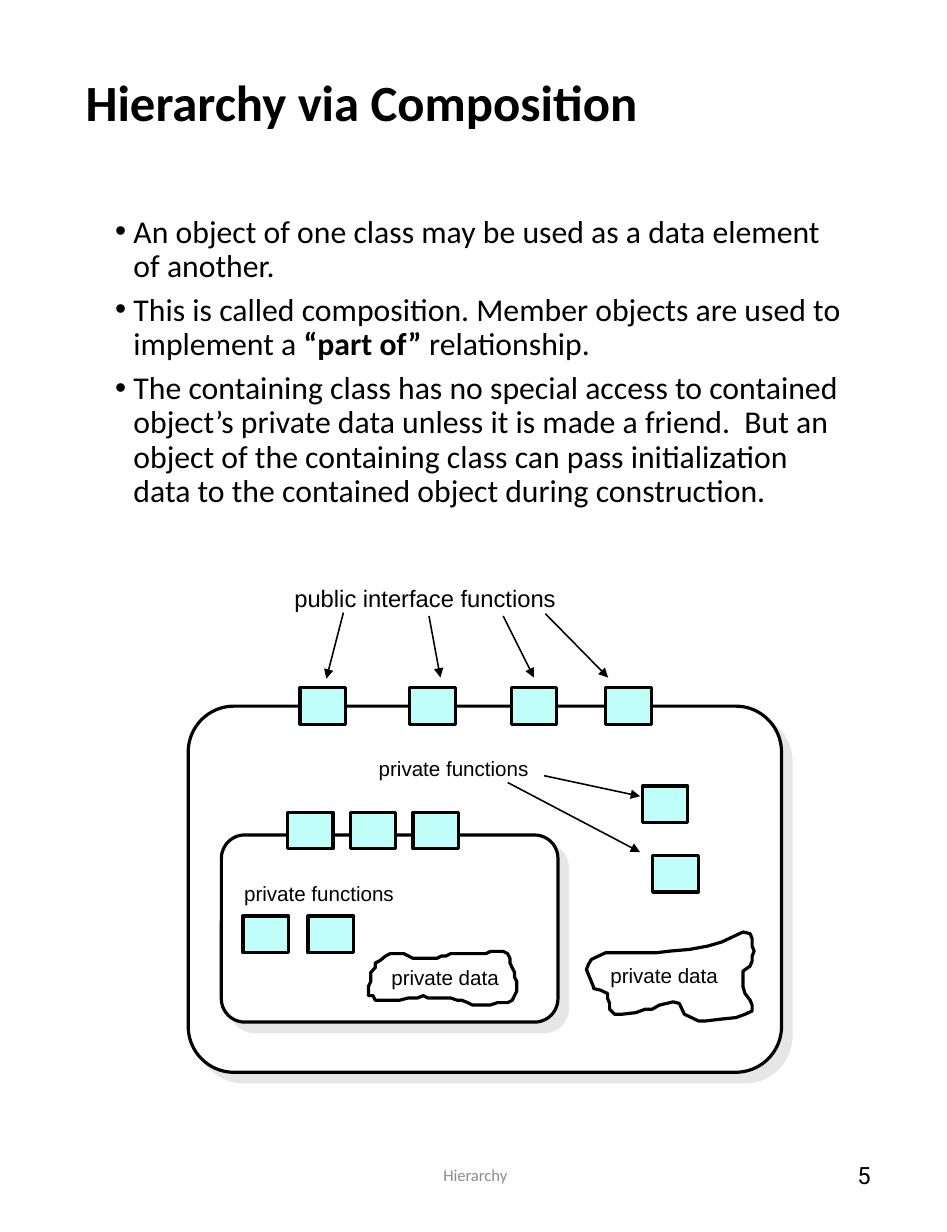
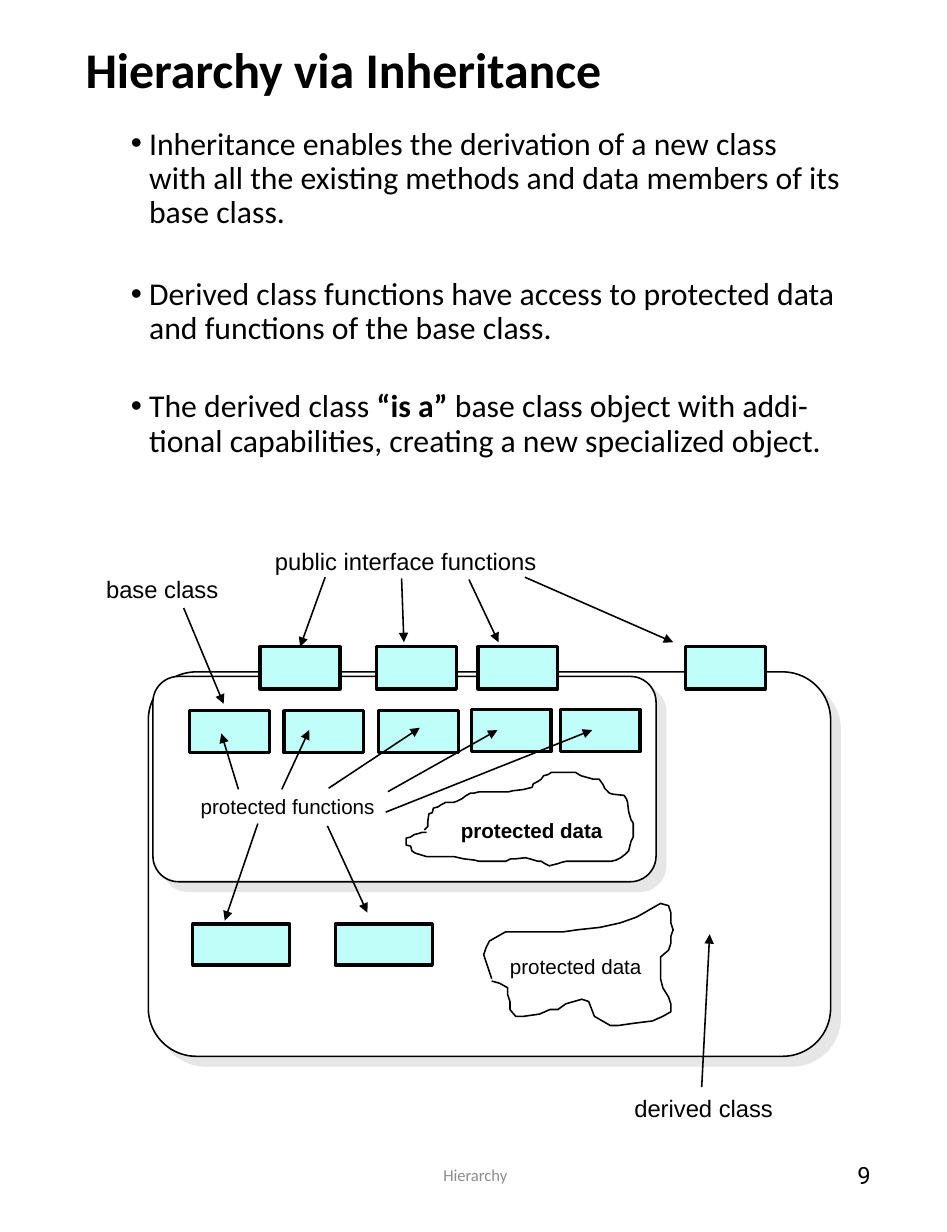
import math
from dataclasses import dataclass, field

import lxml.etree
import pptx
import pptx.dml.color
import pptx.enum.dml
import pptx.enum.shapes
import pptx.enum.text
import pptx.oxml.ns
import pptx.util

Pt = pptx.util.Pt
Inches = pptx.util.Inches
qn = pptx.oxml.ns.qn
SHAPE = pptx.enum.shapes.MSO_SHAPE
ALIGN = pptx.enum.text.PP_ALIGN
ANCHOR = pptx.enum.text.MSO_ANCHOR

WIDTH, HEIGHT = Inches(8.3), Inches(10.8)
COLUMNS = 83
CELL = WIDTH / COLUMNS
COLORS = {"ink": "000000", "paper": "FFFFFF", "function": "C0FEF9",
          "shadow": "E7E6E6", "footer": "8C8C8C"}
FORMATS = {
    "title": {"name": "Calibri", "size": Pt(32), "bold": True},
    "body": {"name": "Calibri", "size": Pt(20)},
    "number": {"name": "Roboto", "size": Pt(15)},
    "footer": {"name": "Calibri", "size": Pt(10.5)},
    "heading": {"name": "Arial", "size": Pt(15)},
    "label": {"name": "Arial", "size": Pt(13)},
    "strong": {"name": "Arial", "size": Pt(13), "bold": True},
}
MARGINS = {"margin_left": Inches(0.11), "margin_right": Inches(0.11),
           "margin_top": Inches(0.05), "margin_bottom": Inches(0.05)}

Box = tuple[float, float, float, float]
Points = list[tuple[int, int]]

JAGGED: Points = [
    (431, 858), (429, 852), (426, 843), (424, 837), (426, 831), (429, 825), (436, 821),
    (443, 817), (461, 817), (493, 817), (507, 815), (526, 813), (544, 809), (558, 804),
    (565, 800), (572, 796), (579, 792), (586, 794), (588, 800), (588, 809), (590, 815),
    (588, 821), (588, 827), (586, 833), (579, 839), (579, 858), (581, 866), (586, 874),
    (588, 880), (588, 887), (581, 891), (572, 895), (556, 897), (542, 899), (535, 899),
    (528, 895), (521, 891), (516, 878), (510, 876), (503, 878), (496, 880), (489, 885),
    (482, 885), (473, 889), (459, 891), (452, 891), (447, 885), (447, 878), (445, 872),
    (445, 866), (438, 862), (431, 860)]
WAVY: Points = [
    (325, 856), (325, 852), (329, 848), (329, 844), (333, 842), (338, 838), (342, 836),
    (354, 836), (358, 838), (362, 840), (383, 840), (387, 838), (391, 838), (395, 836),
    (426, 836), (430, 834), (441, 834), (445, 836), (447, 840), (447, 844), (449, 848),
    (451, 852), (451, 856), (453, 860), (453, 868), (451, 872), (449, 876), (445, 878),
    (436, 878), (430, 880), (414, 880), (410, 878), (405, 876), (401, 876), (395, 874),
    (375, 874), (371, 872), (366, 874), (358, 874), (350, 876), (329, 876), (327, 872),
    (323, 872), (323, 864), (325, 860)]
CLOUD: Points = [
    (372, 727), (375, 724), (375, 720), (376, 713), (379, 712), (380, 708), (384, 707),
    (387, 705), (391, 703), (398, 703), (401, 702), (405, 700), (409, 697), (413, 695),
    (416, 695), (420, 694), (446, 694), (450, 693), (459, 692), (467, 690), (468, 687),
    (472, 685), (475, 683), (477, 680), (481, 679), (484, 677), (505, 677), (510, 680),
    (521, 683), (526, 683), (529, 687), (531, 691), (535, 695), (538, 696), (548, 697),
    (550, 700), (551, 703), (552, 711), (554, 718), (556, 721), (556, 733), (554, 737),
    (553, 741), (552, 745), (549, 748), (545, 751), (541, 753), (537, 754), (497, 754),
    (493, 755), (490, 756), (486, 757), (482, 758), (478, 756), (475, 754), (472, 754),
    (465, 752), (461, 751), (452, 752), (448, 752), (444, 754), (420, 754), (416, 753),
    (407, 752), (398, 750), (374, 750), (364, 747), (361, 745), (360, 741), (356, 740),
    (356, 734), (360, 733), (363, 731), (367, 730), (370, 729), (374, 729)]


@dataclass
class FunctionRow:
    lefts: list[float]
    top: float
    width: float
    height: float


@dataclass
class Label:
    text: str
    box: Box
    style: str = "label"


@dataclass
class Blob:
    points: Points
    box: Box
    closed: bool = False


@dataclass
class Bullet:
    text: str
    gap: float = 6.2


@dataclass
class Page:
    title: str
    title_size: float
    title_box: Box
    body_box: Box
    number: str
    line: float
    bullets: list[Bullet]
    panels: list[Box]
    functions: list[FunctionRow]
    blobs: list[Blob]
    labels: list[Label]
    arrows: list[Box] = field(default_factory=list)


def cells(n: float) -> int:
    return round(n * CELL)


def color(name: str) -> pptx.dml.color.RGBColor:
    return pptx.dml.color.RGBColor.from_string(COLORS[name])


def apply(target, values: dict) -> None:
    for name, value in values.items():
        setattr(target, name, value)


def place(sp, box: Box) -> None:
    apply(sp, dict(zip(("left", "top", "width", "height"), map(cells, box))))


def write(p, text: str, style: str, ink: str = "ink") -> None:
    for i, part in enumerate(text.split("|")):
        r = p.add_run()
        r.text = part
        apply(r.font, FORMATS[style])
        r.font.color.rgb = color(ink)
        if i % 2:
            r.font.bold = True


def paint(sp, fill: str, width: float) -> None:
    sp.shadow.inherit = False
    sp.fill.solid()
    sp.fill.fore_color.rgb = color(fill)
    sp.line.color.rgb = color("ink")
    sp.line.width = Pt(width)


def add_text(s, text: str, box: Box, style: str, ink: str = "ink",
             align=ALIGN.LEFT, anchor=ANCHOR.TOP) -> None:
    tf = s.shapes.add_textbox(*map(cells, box)).text_frame
    apply(tf, {**MARGINS, "word_wrap": True, "vertical_anchor": anchor})
    tf.paragraphs[0].alignment = align
    write(tf.paragraphs[0], text, style, ink)


def add_panel(s, box: Box, line: float) -> None:
    sp = s.shapes.add_shape(SHAPE.ROUNDED_RECTANGLE, *map(cells, box))
    sp.adjustments[0] = 0.125
    paint(sp, "paper", line)
    effects = sp._element.spPr.find(qn("a:effectLst"))
    shadow = lxml.etree.SubElement(effects, qn("a:outerShdw"), dist=str(Pt(8.5)),
                                   dir="2700000", algn="ctr", rotWithShape="0")
    lxml.etree.SubElement(shadow, qn("a:srgbClr"), val=COLORS["shadow"])


def add_functions(s, row: FunctionRow) -> list:
    boxes = []
    for left in row.lefts:
        sp = s.shapes.add_shape(SHAPE.RECTANGLE,
                                *map(cells, (left, row.top, row.width, row.height)))
        paint(sp, "function", 2)
        boxes.append(sp)
    return boxes


def add_blob(s, blob: Blob, line: float) -> None:
    builder = s.shapes.build_freeform(*blob.points[0], scale=CELL / 10)
    builder.add_line_segments(blob.points[1:], close=blob.closed)
    sp = builder.convert_to_shape()
    place(sp, blob.box)
    paint(sp, "paper", line)


def add_arrow(s, ends: Box, boxes: list) -> None:
    x1, y1, x2, y2 = map(cells, ends)
    c = s.shapes.add_connector(pptx.enum.shapes.MSO_CONNECTOR.STRAIGHT, x1, y1, x2, y2)
    c.line.color.rgb = color("ink")
    c.line.width = Pt(1)
    lxml.etree.SubElement(c.line._get_or_add_ln(), qn("a:tailEnd"), type="triangle")
    lxml.etree.SubElement(c._element.spPr, qn("a:effectLst"))
    for sp in boxes:
        if math.hypot(sp.left + sp.width / 2 - x2, sp.top - y2) < cells(0.5):
            c.end_connect(sp, 0)


def add_page(prs, page: Page) -> None:
    s = prs.slides.add_slide(prs.slide_layouts[1])
    title, body = s.placeholders[0], s.placeholders[1]
    place(title, page.title_box)
    apply(title.text_frame, {"vertical_anchor": ANCHOR.MIDDLE, "word_wrap": True,
                             "auto_size": pptx.enum.text.MSO_AUTO_SIZE.NONE})
    p = title.text_frame.paragraphs[0]
    apply(p, {"alignment": ALIGN.LEFT, "line_spacing": 0.9})
    write(p, page.title, "title")
    p.runs[0].font.size = Pt(page.title_size)

    place(body, page.body_box)
    tf = body.text_frame
    apply(tf, {**MARGINS, "word_wrap": True, "vertical_anchor": ANCHOR.TOP,
               "auto_size": pptx.enum.text.MSO_AUTO_SIZE.NONE})
    for i, bullet in enumerate(page.bullets):
        p = tf.add_paragraph() if i else tf.paragraphs[0]
        pPr = p._p.get_or_add_pPr()
        pPr.set("marL", str(Inches(0.16)))
        pPr.set("indent", str(-Inches(0.16)))
        apply(p, {"line_spacing": 0.9, "space_before": Pt(bullet.gap if i else 0),
                  "space_after": Pt(0)})
        write(p, bullet.text, "body")

    for panel in page.panels:
        add_panel(s, panel, page.line)
    boxes = [sp for row in page.functions for sp in add_functions(s, row)]
    for blob in page.blobs:
        add_blob(s, blob, page.line)
    for label in page.labels:
        add_text(s, label.text, label.box, label.style)
    for ends in page.arrows:
        add_arrow(s, ends, boxes)
    add_text(s, " Hierarchy", (27.5, 100.1, 28, 5.8), "footer", "footer",
             ALIGN.CENTER, ANCHOR.MIDDLE)
    add_text(s, page.number, (58.7, 100.1, 18.7, 5.8), "number", "ink",
             ALIGN.RIGHT, ANCHOR.MIDDLE)


COMPOSITION = Page(
    "Hierarchy via Composition", 32, (6.5, 3.6, 70.6, 11.2), (9, 18.4, 66.4, 42.3), "5", 2,
    [Bullet("An object of one class may be used as a data element of another."),
     Bullet("This is called composition. Member objects are used to implement a "
            "|“part of” |relationship."),
     Bullet("The containing class has no special access to contained object’s private data "
            "unless it is made a friend.  But an object of the containing class can pass "
            "initialization data to the contained object during construction.")],
    [(16.5, 61.9, 52, 32.1), (19.4, 73.2, 29.5, 16.4)],
    [FunctionRow([26.3, 35.9, 44.8, 53.1], 60.3, 4, 3.2),
     FunctionRow([25.2 + 5.5 * i for i in range(3)], 71.2, 4, 3.2),
     FunctionRow([21.3, 27], 80.3, 4, 3.2),
     FunctionRow([56.3], 68.9, 4, 3.2),
     FunctionRow([57.2], 75, 4, 3.2)],
    [Blob(JAGGED, (51.4, 81.7, 14.7, 7.8), True), Blob(WAVY, (32.3, 83.4, 13, 4.7), True)],
    [Label("public interface functions", (24.7, 50.7, 28, 3.6), "heading"),
     Label("private functions", (32.1, 65.8, 18, 3.2)),
     Label("private functions", (20.3, 76.7, 18, 3.2)),
     Label("private data", (52.4, 83.9, 14.8, 3.2)),
     Label("private data", (33.2, 84.1, 14.8, 3.2))],
    [(30.1, 53.7, 28.6, 59.5), (37.6, 54, 38.6, 59.4), (44.1, 54, 46.8, 59.4),
     (47.8, 53.8, 53.3, 59.4), (44.5, 68.6, 56.1, 74.7), (47.7, 68, 56.1, 69.8)])

INHERITANCE = Page(
    "Hierarchy via Inheritance", 31.5, (6.5, 3.6, 70.6, 5.4), (10.37, 10.7, 64.4, 33.7), "9", 1,
    [Bullet("Inheritance enables the derivation of a new class with all the existing methods "
            "and data members of its base class."),
     Bullet("Derived class functions have access to protected data and functions of the "
            "base class.", 30),
     Bullet("The derived class |“is a”| base class object with addi-tional capabilities, "
            "creating a new specialized object.", 27.8)],
    [(13, 58.9, 59.8, 33.7), (13.4, 59.3, 44.1, 18)],
    [FunctionRow([22.8, 33, 41.9, 60.1], 56.7, 7, 3.7),
     FunctionRow([16.6 + 8.3 * i for i in range(3)], 62.3, 7, 3.7),
     FunctionRow([41.3, 49.1], 62.2, 7, 3.7),
     FunctionRow([16.9, 29.4], 81, 8.5, 3.6)],
    [Blob(CLOUD, (35.6, 67.7, 19.9, 8.2)), Blob(JAGGED, (42.4, 79.2, 16.6, 10.7))],
    [Label("public interface functions", (23, 47.4, 28, 3.6), "heading"),
     Label("base class", (8.2, 49.9, 14, 3.6), "heading"),
     Label("derived class", (54.5, 95.4, 17, 3.6), "heading"),
     Label("protected functions", (16.5, 69.1, 20, 3.2)),
     Label("protected data", (39.3, 71.2, 17, 3.2), "strong"),
     Label("protected data", (43.6, 83.1, 16, 3.2))],
    [(28.5, 50.6, 26.7, 56.7), (35.2, 50.7, 35.4, 56.3), (41.1, 50.8, 43.7, 56.3),
     (46, 50.6, 59, 56.3), (16.1, 53.3, 19.6, 61.7), (20.9, 69.2, 19.4, 64.3),
     (24.7, 69.2, 27.1, 64), (28.8, 69.1, 36.8, 63.8), (34, 69.4, 43.6, 64),
     (33.8, 71.2, 51.9, 64), (22.6, 72.2, 19.7, 80.7), (28.7, 72.4, 32.2, 80),
     (61.5, 95.3, 62.2, 81.9)])


def main() -> None:
    prs = pptx.Presentation()
    apply(prs, {"slide_width": WIDTH, "slide_height": HEIGHT})
    for page in (COMPOSITION, INHERITANCE):
        add_page(prs, page)
    prs.save("out.pptx")


if __name__ == "__main__":
    main()
